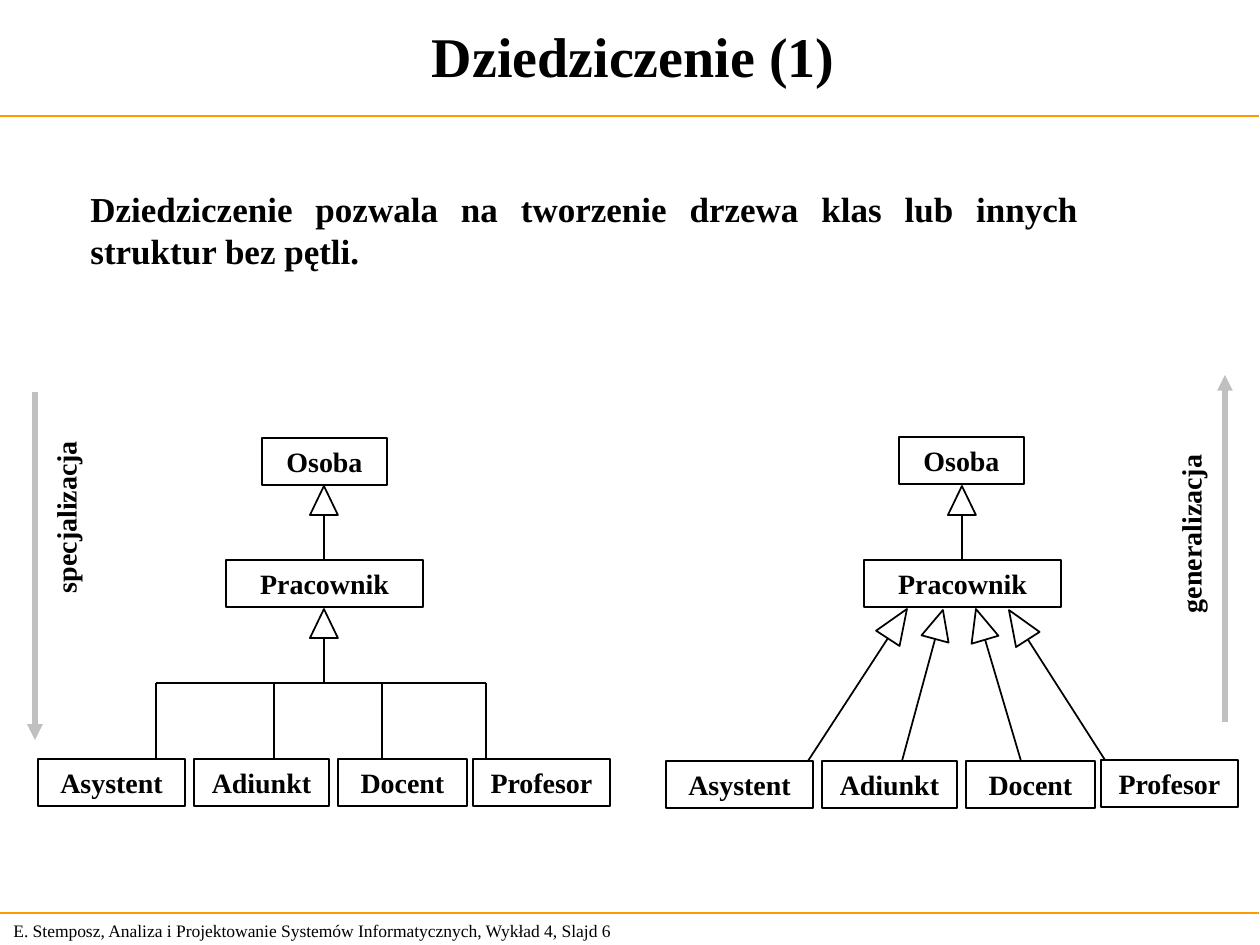
from math import atan2, degrees, hypot
from lxml.etree import SubElement
from pptx import Presentation
from pptx.dml.color import RGBColor
from pptx.enum.shapes import MSO_CONNECTOR, MSO_SHAPE
from pptx.enum.text import MSO_ANCHOR, PP_ALIGN
from pptx.oxml.ns import qn
from pptx.util import Pt

EMU_PER_PX = 914400 / 126
COLORS = {"text": "000000", "rule": "FF9900", "arrow": "C0C0C0"}
FONT = "Times New Roman"

# text, (left, top, width, height), format, rotation
TEXTS = [
    ("E. Stemposz, Analiza i Projektowanie Systemów Informatycznych, Wykład 4, Slajd 6",
     (1, 913, 660, 34), {"size": 10, "bold": False, "anchor": MSO_ANCHOR.MIDDLE}, 0),
    ("Dziedziczenie (1)", (13, 2, 1241, 107),
     {"size": 32, "align": PP_ALIGN.CENTER, "anchor": MSO_ANCHOR.MIDDLE}, 0),
    ("Dziedziczenie pozwala na tworzenie drzewa klas lub innych struktur bez pętli.",
     (78, 181, 1013, 97), {"size": 20, "align": PP_ALIGN.JUSTIFY}, 0),
    ("specjalizacja", (-26, 490, 184, 47), {"wrap": False}, 270),
    ("generalizacja", (1099, 510, 184, 47), {"wrap": False}, 270),
]

# start, end, colour, width in points
RULES = [((-1, 116), (1259, 116), "rule", 1), ((-1, 913), (1259, 913), "rule", 0.75)]
DIRECTION_ARROWS = [((35, 392), (35, 740), "arrow", 3), ((1225, 722), (1225, 375), "arrow", 3)]

BOX_HEIGHT = 47
HEAD_WIDTH = 28
# class name, left, top, width
CLASSES = [
    ("Osoba", 262, 438, 125), ("Pracownik", 226, 560, 197),
    ("Asystent", 38, 759, 147), ("Adiunkt", 194, 759, 135),
    ("Docent", 338, 759, 129), ("Profesor", 473, 759, 137),
    ("Osoba", 899, 437, 125), ("Pracownik", 864, 560, 197),
    ("Asystent", 666, 761, 147), ("Adiunkt", 822, 761, 135),
    ("Docent", 966, 761, 129), ("Profesor", 1101, 760, 137),
]
# subclass end, superclass end, length of the hollow head
INHERITANCE = [
    ((324, 560), (324, 486), 29), ((324, 683), (324, 609), 29),
    ((962, 560), (962, 486), 29),
    ((808, 761), (907, 609), 35), ((902, 761), (943, 610), 30),
    ((1021, 761), (976, 609), 32), ((1105, 760), (1009, 610), 35),
]
TREE_BAR_Y = 683
TREE_LEAF_Y = 759
TREE_BRANCHES = [156, 274, 382, 486]


def px(*values):
    return [round(value * EMU_PER_PX) for value in values]


def color(name):
    return RGBColor.from_string(COLORS[name])


def write(shape, text, size=16, bold=True, align=PP_ALIGN.LEFT,
          anchor=MSO_ANCHOR.TOP, wrap=True):
    frame = shape.text_frame
    frame.word_wrap = wrap
    frame.vertical_anchor = anchor
    para = frame.paragraphs[0]
    para.alignment = align
    span = para.add_run()
    span.text = text
    for name, value in {"name": FONT, "size": Pt(size), "bold": bold}.items():
        setattr(span.font, name, value)
    span.font.color.rgb = color("text")


def add_line(page, start, end, line_color="text", width=1, arrow=False):
    line = page.shapes.add_connector(MSO_CONNECTOR.STRAIGHT, *px(*start, *end))
    line.line.color.rgb = color(line_color)
    line.line.width = Pt(width)
    if arrow:
        SubElement(line._element.spPr.find(qn("a:ln")), qn("a:tailEnd"), type="triangle")
    SubElement(line._element.spPr, qn("a:effectLst"))


def add_outline(page, kind, left, top, width, height):
    shape = page.shapes.add_shape(kind, *px(left, top, width, height))
    shape.shadow.inherit = False
    shape.fill.background()
    shape.line.color.rgb = color("text")
    shape.line.width = Pt(1)
    return shape


def add_inheritance(page, start, tip, head):
    """Draw a line ending in a hollow triangle whose apex is at tip."""
    dx, dy = tip[0] - start[0], tip[1] - start[1]
    length = hypot(dx, dy)
    ux, uy = dx / length, dy / length
    center_x, center_y = tip[0] - ux * head / 2, tip[1] - uy * head / 2
    triangle = add_outline(page, MSO_SHAPE.ISOSCELES_TRIANGLE, center_x - HEAD_WIDTH / 2,
                           center_y - head / 2, HEAD_WIDTH, head)
    triangle.rotation = degrees(atan2(dx, -dy))
    add_line(page, start, (tip[0] - ux * head, tip[1] - uy * head))


def main():
    deck = Presentation()
    deck.slide_width, deck.slide_height = px(1260, 945)
    page = deck.slides.add_slide(deck.slide_layouts[6])

    for rule in RULES:
        add_line(page, *rule)
    for text, place, style, rotation in TEXTS:
        box = page.shapes.add_textbox(*px(*place))
        box.rotation = rotation
        write(box, text, **style)
    for arrow in DIRECTION_ARROWS:
        add_line(page, *arrow, arrow=True)

    for name, left, top, width in CLASSES:
        box = add_outline(page, MSO_SHAPE.RECTANGLE, left, top, width, BOX_HEIGHT)
        write(box, name, align=PP_ALIGN.CENTER)
    for link in INHERITANCE:
        add_inheritance(page, *link)
    add_line(page, (TREE_BRANCHES[0], TREE_BAR_Y), (TREE_BRANCHES[-1], TREE_BAR_Y))
    for x in TREE_BRANCHES:
        add_line(page, (x, TREE_BAR_Y), (x, TREE_LEAF_Y))

    deck.save("out.pptx")


if __name__ == "__main__":
    main()
